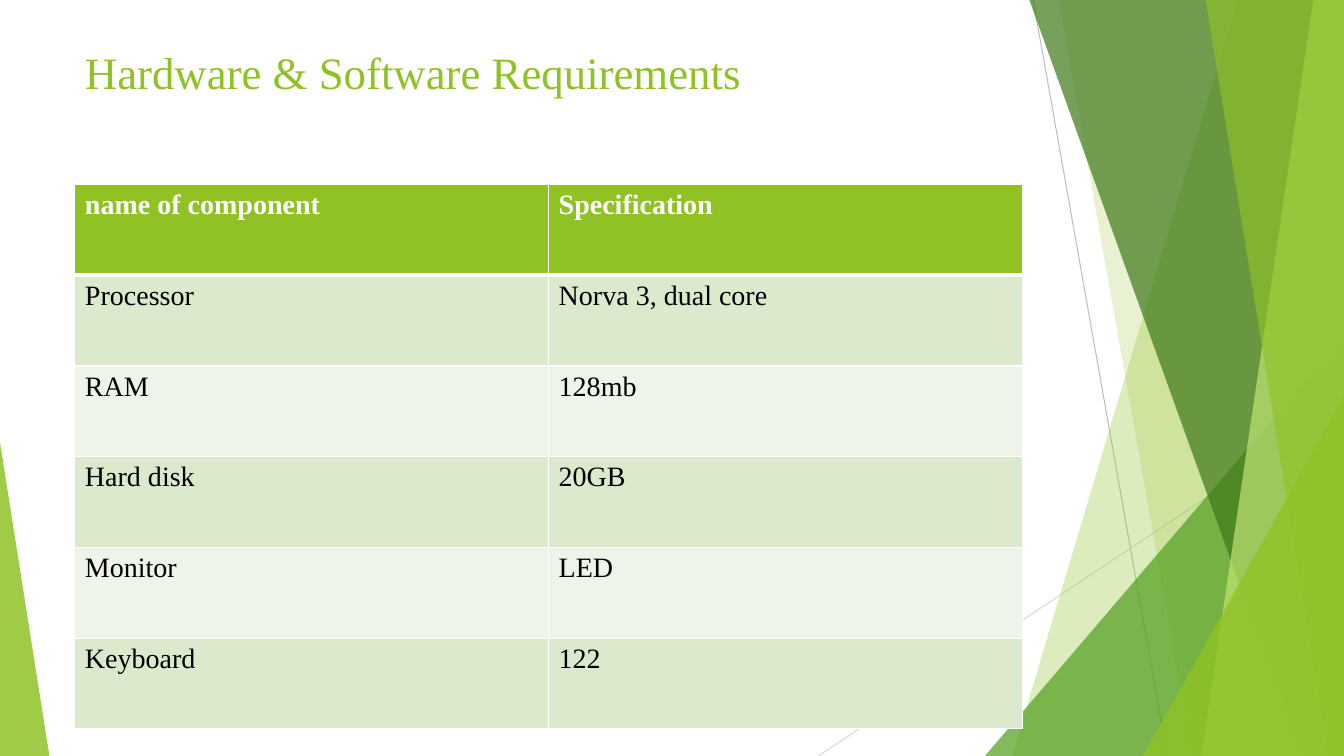
from dataclasses import dataclass

from lxml import etree
from pptx import Presentation
from pptx.dml.color import RGBColor
from pptx.enum.shapes import MSO_CONNECTOR, MSO_SHAPE
from pptx.enum.text import MSO_ANCHOR, PP_ALIGN
from pptx.oxml.ns import qn
from pptx.util import Pt

TRIANGLE = MSO_SHAPE.ISOSCELES_TRIANGLE
STRAIGHT = MSO_CONNECTOR.STRAIGHT
TOP, LEFT = MSO_ANCHOR.TOP, PP_ALIGN.LEFT

WIDTH, HEIGHT = 960, 540
EDGE = -0.6  # the bands start just above the slide
FONT = "Times New Roman"
LIME, WHITE, BLACK = "90C226", "FFFFFF", "000000"
STRIPES = ("EEF4E8", "DBE9CD")


@dataclass
class Line:
    x1: float
    y1: float
    x2: float
    y2: float
    color: str


@dataclass
class Band:
    """Runs from a slanted left side to the right edge of the slide."""
    top: float
    foot: float
    color: str
    alpha: int


@dataclass
class Wedge:
    """Right triangle that stands on the bottom of the slide."""
    left: float
    top: float
    width: float
    peak: int
    color: str
    alpha: int


LINES = [
    Line(738, 0, 833.8, HEIGHT, "BFBFBF"),
    Line(WIDTH, 290.2, 584.6, HEIGHT, "D9D9D9"),
]
FACETS = [
    Band(884.2, 722.9, LIME, 30),
    Band(756, 851.8, LIME, 20),
    Wedge(703.5, 240, 256.5, 1, "54A021", 72),
    Band(735.1, 929.5, "3F7819", 70),
    Band(938.2, 858.2, "C0E474", 70),
    Band(861.1, 949, LIME, 65),
    Wedge(816.5, 283, 143.5, 1, LIME, 80),
    Wedge(0, 316.1, 35.3, 0, LIME, 85),
]
ROWS = [
    ("name of component", "Specification"),
    ("Processor", "Norva 3, dual core"),
    ("RAM", "128mb"),
    ("Hard disk", "20GB"),
    ("Monitor", "LED"),
    ("Keyboard", "122"),
]


def rgb(color: str) -> RGBColor:
    return RGBColor.from_string(color)


def style(font, color: str, **form) -> None:
    font.color.rgb = rgb(color)
    for name, value in {"name": FONT, **form}.items():
        setattr(font, name, value)


def draw_line(shapes, line: Line) -> None:
    ends = (Pt(n) for n in (line.x1, line.y1, line.x2, line.y2))
    link = shapes.add_connector(STRAIGHT, *ends)
    link.line.color.rgb = rgb(line.color)
    link.line.width = Pt(0.75)
    etree.SubElement(link.element.spPr, qn("a:effectLst"))


def tint(shape, color: str, alpha: int) -> None:
    shape.shadow.inherit = False
    shape.line.fill.background()
    shape.fill.solid()
    shape.fill.fore_color.rgb = rgb(color)
    tone = shape.element.spPr.find(f".//{qn('a:srgbClr')}")
    etree.SubElement(tone, qn("a:alpha"), val=str(alpha * 1000))


def draw_band(shapes, band: Band) -> None:
    pen = shapes.build_freeform(Pt(band.top), Pt(EDGE))
    rest = [(WIDTH, EDGE), (WIDTH, HEIGHT), (band.foot, HEIGHT)]
    pen.add_line_segments([(Pt(x), Pt(y)) for x, y in rest], close=True)
    tint(pen.convert_to_shape(), band.color, band.alpha)


def draw_wedge(shapes, wedge: Wedge) -> None:
    box = (wedge.left, wedge.top, wedge.width, HEIGHT - wedge.top)
    shape = shapes.add_shape(TRIANGLE, *(Pt(n) for n in box))
    shape.adjustments[0] = wedge.peak
    tint(shape, wedge.color, wedge.alpha)


def set_edges(cell, row: int) -> None:
    # The rule below the header row is thicker
    sides = {"L": 1, "R": 1, "T": 3 if row == 1 else 1, "B": 3 if row == 0 else 1}
    props = cell._tc.get_or_add_tcPr()
    for spot, (side, size) in enumerate(sides.items()):
        edge = etree.Element(qn(f"a:ln{side}"), w=str(Pt(size)))
        fill = etree.SubElement(edge, qn("a:solidFill"))
        etree.SubElement(fill, qn("a:srgbClr"), val=WHITE)
        props.insert(spot, edge)


def draw_table(shapes) -> None:
    box = (53.5, 131.8, 676.8, 388.8)
    grid = shapes.add_table(len(ROWS), 2, *(Pt(n) for n in box)).table
    for r, row in enumerate(ROWS):
        head = r == 0
        for c, text in enumerate(row):
            cell = grid.cell(r, c)
            cell.text = text
            cell.fill.solid()
            cell.fill.fore_color.rgb = rgb(LIME if head else STRIPES[r % 2])
            font = cell.text_frame.paragraphs[0].runs[0].font
            style(font, WHITE if head else BLACK, size=Pt(20), bold=head)
            set_edges(cell, r)


def set_title(title) -> None:
    box = {"left": 53.5, "top": 28, "width": 676.8, "height": 103.8}
    for name, value in box.items():
        setattr(title, name, Pt(value))
    frame = title.text_frame
    frame.text = "Hardware & Software Requirements"
    frame.word_wrap = True
    frame.vertical_anchor = TOP
    frame.paragraphs[0].alignment = LEFT
    style(frame.paragraphs[0].runs[0].font, LIME, size=Pt(32))


def main() -> None:
    deck = Presentation()
    deck.slide_width, deck.slide_height = Pt(WIDTH), Pt(HEIGHT)
    slide = deck.slides.add_slide(deck.slide_layouts[5])
    shapes = slide.shapes

    # Backdrop
    for line in LINES:
        draw_line(shapes, line)
    for facet in FACETS:
        if isinstance(facet, Band):
            draw_band(shapes, facet)
        else:
            draw_wedge(shapes, facet)

    # Content
    set_title(shapes.title)
    draw_table(shapes)
    deck.save("out.pptx")


if __name__ == "__main__":
    main()
